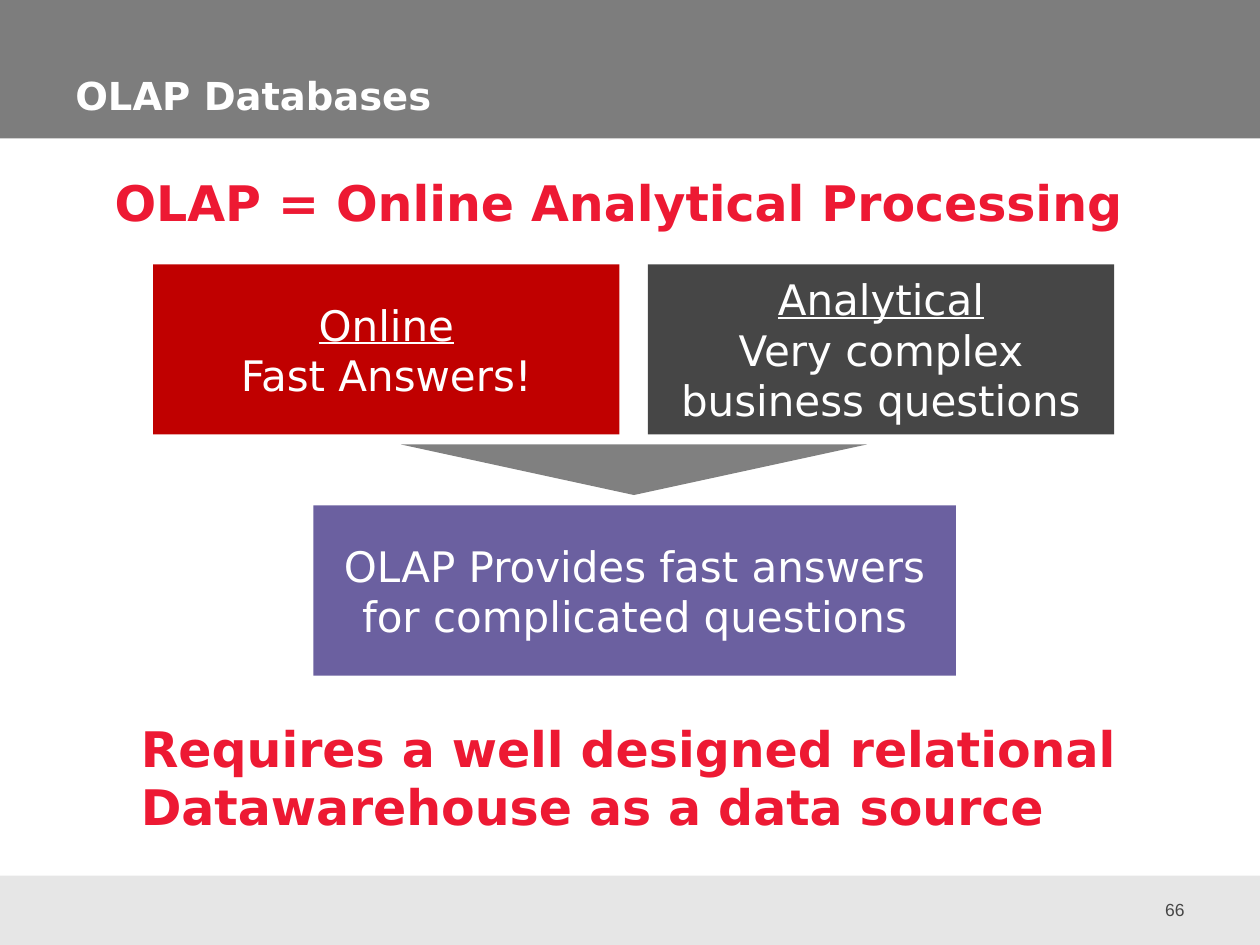
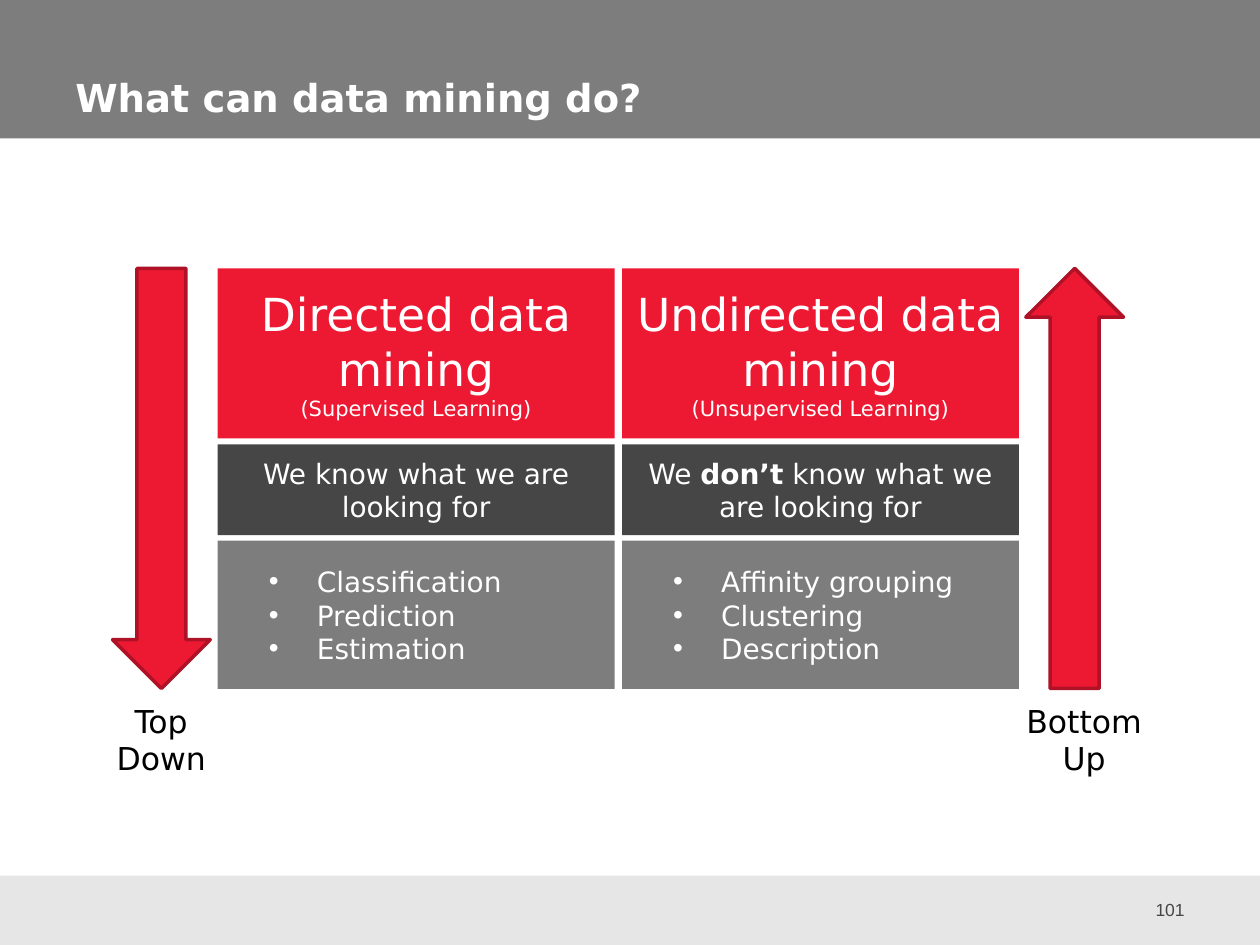
from lxml.etree import SubElement
from pptx import Presentation
from pptx.dml.color import RGBColor
from pptx.enum.shapes import MSO_SHAPE
from pptx.enum.text import MSO_ANCHOR, PP_ALIGN
from pptx.oxml.ns import qn
from pptx.util import Cm, Pt

WHITE = RGBColor(0xFF, 0xFF, 0xFF)
BLACK = RGBColor(0x00, 0x00, 0x00)
RED = RGBColor(0xED, 0x19, 0x33)
ARROW_EDGE = RGBColor(0xAF, 0x12, 0x26)
DEEP_RED = RGBColor(0xC0, 0x00, 0x00)
DARK = RGBColor(0x46, 0x46, 0x46)
GRAY = RGBColor(0x7D, 0x7D, 0x7D)
POINTER_GRAY = RGBColor(0x80, 0x80, 0x80)
LIGHT = RGBColor(0xE6, 0xE6, 0xE6)
PURPLE = RGBColor(0x6B, 0x60, 0xA0)


class Deck:
    font = "DejaVu Sans"

    def __init__(self):
        self.presentation = Presentation()
        self.presentation.slide_width = Cm(25.4)
        self.presentation.slide_height = Cm(19.05)
        self.slide = None

    def new_slide(self, title, number, title_top):
        self.slide = self.presentation.slides.add_slide(self.presentation.slide_layouts[6])
        self.box(-0.03, 0, 25.48, 2.79, GRAY)
        self.box(0, 17.65, 25.4, 1.4, LIGHT)
        self.text(22.86, 17.83, 1.27, 1.02, number, 10, DARK, font="Arial",
                  align=PP_ALIGN.RIGHT, anchor=MSO_ANCHOR.MIDDLE)
        self.text(1.27, title_top, 22.56, 1.57, title, 22, WHITE, bold=True,
                  anchor=MSO_ANCHOR.BOTTOM)

    def paint(self, shape, fill, edge=None):
        shape.shadow.inherit = False
        shape.fill.solid()
        shape.fill.fore_color.rgb = fill
        if edge is None:
            shape.line.fill.background()
        else:
            shape.line.color.rgb = edge
            shape.line.width = Pt(2)

    def style_runs(self, paragraph, size, color, bold=False, font=None):
        for run in paragraph.runs:
            run.font.name = font or self.font
            run.font.size = Pt(size)
            run.font.color.rgb = color
            run.font.bold = bold

    def fill_frame(self, frame, text, size, color, align, anchor, bold=False, font=None):
        frame.text = text
        frame.vertical_anchor = anchor
        for paragraph in frame.paragraphs:
            paragraph.alignment = align
            self.style_runs(paragraph, size, color, bold, font)

    def shape(self, kind, left, top, width, height, fill, edge=None):
        shape = self.slide.shapes.add_shape(kind, Cm(left), Cm(top), Cm(width), Cm(height))
        self.paint(shape, fill, edge)
        return shape

    def box(self, left, top, width, height, fill, text="", size=24, align=PP_ALIGN.CENTER):
        shape = self.shape(MSO_SHAPE.RECTANGLE, left, top, width, height, fill)
        if text:
            self.fill_frame(shape.text_frame, text, size, WHITE, align, MSO_ANCHOR.MIDDLE)
        return shape.text_frame.paragraphs

    def text(self, left, top, width, height, text, size, color, bold=False, font=None,
             align=PP_ALIGN.LEFT, anchor=MSO_ANCHOR.TOP, wrap=True):
        shape = self.slide.shapes.add_textbox(Cm(left), Cm(top), Cm(width), Cm(height))
        shape.text_frame.word_wrap = wrap
        self.fill_frame(shape.text_frame, text, size, color, align, anchor, bold, font)

    def polygon(self, points, fill):
        corners = [(Cm(x), Cm(y)) for x, y in points]
        builder = self.slide.shapes.build_freeform(*corners[0])
        builder.add_line_segments(corners[1:], close=True)
        self.paint(builder.convert_to_shape(), fill)

    def bullets(self, paragraphs):
        for paragraph in paragraphs:
            properties = paragraph._p.get_or_add_pPr()
            properties.set("marL", str(Cm(1.75)))
            properties.set("indent", str(Cm(-0.97)))
            SubElement(properties, qn("a:buFont"), typeface="Arial")
            SubElement(properties, qn("a:buChar"), char="•")

    def embolden(self, paragraph, word, size, color):
        before, match, after = paragraph.text.partition(word)
        paragraph.text = before
        for part in (match, after):
            paragraph.add_run().text = part
        self.style_runs(paragraph, size, color)
        paragraph.runs[1].font.bold = True


def build_olap(deck):
    deck.new_slide("OLAP Databases", "66", 0.94)
    deck.text(2.06, 3.35, 20.88, 1.45, "OLAP = Online Analytical Processing", 28, RED, bold=True)
    terms = [
        ("Online\nFast Answers!", DEEP_RED),
        ("Analytical\nVery complex business questions", DARK),
    ]
    for column, (term, fill) in enumerate(terms):
        paragraphs = deck.box(3.09 + column * 9.97, 5.33, 9.4, 3.43, fill, term)
        paragraphs[0].runs[0].font.underline = True
    deck.polygon([(8.08, 8.96), (17.48, 8.96), (12.78, 9.98)], POINTER_GRAY)
    deck.box(6.32, 10.19, 12.95, 3.43, PURPLE,
             "OLAP Provides fast answers for complicated questions")
    deck.text(2.59, 14.35, 20.57, 2.64,
              "Requires a well designed relational Datawarehouse as a data source",
              28, RED, bold=True)


def build_mining(deck):
    deck.new_slide("What can data mining do?", "101", 0.97)
    approaches = [
        ("Directed data mining\n(Supervised Learning)",
         "We know what we are looking for",
         "Classification\nPrediction\nEstimation"),
        ("Undirected data mining\n(Unsupervised Learning)",
         "We don’t know what we are looking for",
         "Affinity grouping\nClustering\nDescription"),
    ]
    width = 8
    for column, (heading, knowledge, tasks) in enumerate(approaches):
        left = 4.39 + column * 8.15
        heading_paragraphs = deck.box(left, 5.41, width, 3.43, RED, heading, 26)
        deck.style_runs(heading_paragraphs[1], 12, WHITE)
        deck.bullets(deck.box(left, 10.9, width, 2.99, GRAY, tasks, 16, PP_ALIGN.LEFT))
        knowledge_paragraphs = deck.box(left, 8.96, width, 1.83, DARK, knowledge, 16)
        if "don’t" in knowledge:
            deck.embolden(knowledge_paragraphs[0], "don’t", 16, WHITE)
    directions = [
        (MSO_SHAPE.DOWN_ARROW, 2.27, "Top\nDown", 2.08, 2.34),
        (MSO_SHAPE.UP_ARROW, 20.68, "Bottom\nUp", 20.42, 2.87),
    ]
    for kind, arrow_left, label, label_left, label_width in directions:
        deck.shape(kind, arrow_left, 5.41, 1.97, 8.47, RED, ARROW_EDGE)
        deck.text(label_left, 14.02, label_width, 1.8, label, 18, BLACK,
                  align=PP_ALIGN.CENTER, wrap=False)


def main():
    deck = Deck()
    build_olap(deck)
    build_mining(deck)
    deck.presentation.save("out.pptx")


if __name__ == "__main__":
    main()
